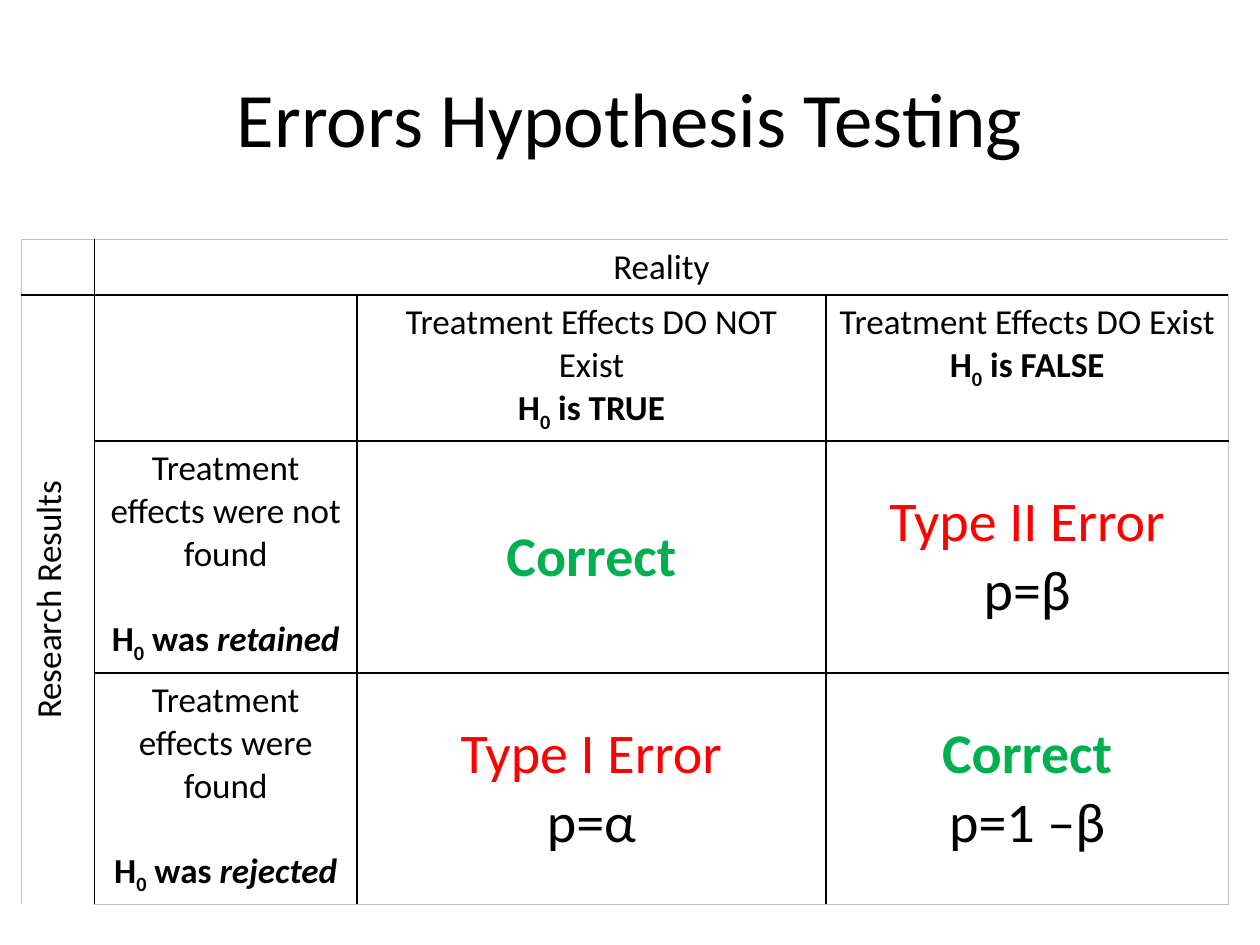
from dataclasses import dataclass

from lxml.etree import SubElement
from pptx import Presentation
from pptx.dml.color import RGBColor
from pptx.enum.text import MSO_ANCHOR as Anchor, PP_ALIGN as Align
from pptx.oxml.ns import qn
from pptx.util import Inches, Pt


@dataclass(frozen=True)
class Theme:
    font: str = "Calibri"
    ink: str = "000000"
    paper: str = "FFFFFF"
    correct: str = "00B050"
    error: str = "FF0000"
    edge: str = "BFBFBF"
    title: int = 44
    label: int = 20
    verdict: int = 32
    line: int = 1


THEME = Theme()
COLUMNS = (0.58, 2.08, 3.72, 3.19)
ROWS = (0.44, 1.16, 1.84, 1.84)


def add_span(para, text, size, color=THEME.ink, bold=False, italic=False, sub=False):
    span = para.add_run()
    span.text = text
    span.font.name = THEME.font
    span.font.size = Pt(size)
    span.font.bold = bold
    span.font.italic = italic
    span.font.color.rgb = RGBColor.from_string(color)
    if sub:
        span._r.get_or_add_rPr().set("baseline", "-25000")


def add_para(frame, first=False):
    para = frame.paragraphs[0] if first else frame.add_paragraph()
    para.alignment = Align.CENTER
    return para


def write_label(cell, text):
    add_span(add_para(cell.text_frame, True), text, THEME.label)


def write_hypothesis(cell, text, claim, ending="", gap=0):
    write_label(cell, text)
    para = add_para(cell.text_frame)
    para.space_before = Pt(gap)
    add_span(para, "H", THEME.label, bold=True)
    add_span(para, "0", THEME.label, bold=True, sub=True)
    add_span(para, claim, THEME.label, bold=True)
    if ending:
        add_span(para, ending, THEME.label, bold=True, italic=True)


def write_verdict(cell, text, chance=""):
    is_correct = text == "Correct"
    color = THEME.correct if is_correct else THEME.error
    cell.vertical_anchor = Anchor.MIDDLE
    add_span(add_para(cell.text_frame, True), text, THEME.verdict, color, is_correct)
    if chance:
        add_span(add_para(cell.text_frame), chance, THEME.verdict)


def region(row, column):
    if not (0 <= row < len(ROWS) and 0 <= column < len(COLUMNS)):
        return None
    if row == 0 and column > 0:
        return "reality"
    if column == 0 and row > 0:
        return "results"
    return row, column


def style_cell(cell, row, column):
    properties = cell._tc.get_or_add_tcPr()
    sides = (("L", 0, -1), ("R", 0, 1), ("T", -1, 0), ("B", 1, 0))
    for side, down, across in sides:
        neighbour = region(row + down, column + across)
        if neighbour == region(row, column):
            continue
        color = THEME.ink if neighbour else THEME.edge
        line = SubElement(properties, qn(f"a:ln{side}"), w=str(Pt(THEME.line)))
        SubElement(SubElement(line, qn("a:solidFill")), qn("a:srgbClr"), val=color)
    cell.fill.solid()
    cell.fill.fore_color.rgb = RGBColor.from_string(THEME.paper)


def add_title(page, left, top, width, height):
    box = page.shapes.add_textbox(left, top, width, height)
    frame = box.text_frame
    frame.word_wrap = True
    frame.vertical_anchor = Anchor.MIDDLE
    add_span(add_para(frame, True), "Errors Hypothesis Testing", THEME.title)


def add_error_table(page, left, top, width, height):
    shape = page.shapes.add_table(len(ROWS), len(COLUMNS), left, top, width, height)
    table = shape.table
    table.first_row = False
    table.horz_banding = False
    for column, share in zip(table.columns, COLUMNS):
        column.width = int(width * share / sum(COLUMNS))
    for row, share in zip(table.rows, ROWS):
        row.height = int(height * share / sum(ROWS))
    for row in range(len(ROWS)):
        for column in range(len(COLUMNS)):
            style_cell(table.cell(row, column), row, column)

    reality = table.cell(0, 1)
    reality.merge(table.cell(0, 3))
    write_label(reality, "Reality")
    results = table.cell(1, 0)
    results.merge(table.cell(3, 0))
    results._tc.get_or_add_tcPr().set("vert", "vert270")
    write_label(results, "Research Results")

    write_hypothesis(table.cell(1, 2), "Treatment Effects DO NOT Exist", " is TRUE")
    write_hypothesis(table.cell(1, 3), "Treatment Effects DO Exist", " is FALSE")
    findings = (
        ("Treatment effects were not found", "retained"),
        ("Treatment effects were found", "rejected"),
    )
    for row, (text, ending) in enumerate(findings, start=2):
        write_hypothesis(table.cell(row, 1), text, " was ", ending, gap=24)

    write_verdict(table.cell(2, 2), "Correct")
    write_verdict(table.cell(2, 3), "Type II Error", "p=β")
    write_verdict(table.cell(3, 2), "Type I Error", "p=α")
    write_verdict(table.cell(3, 3), "Correct", "p=1 –β")


def main():
    deck = Presentation()
    deck.slide_width = Inches(10)
    deck.slide_height = Inches(7.5)
    page = deck.slides.add_slide(deck.slide_layouts[6])
    add_error_table(page, Inches(0.17), Inches(1.9), Inches(9.58), Inches(5.28))
    add_title(page, Inches(0.5), Inches(0.3), Inches(9), Inches(1.25))
    deck.save("out.pptx")


if __name__ == "__main__":
    main()
